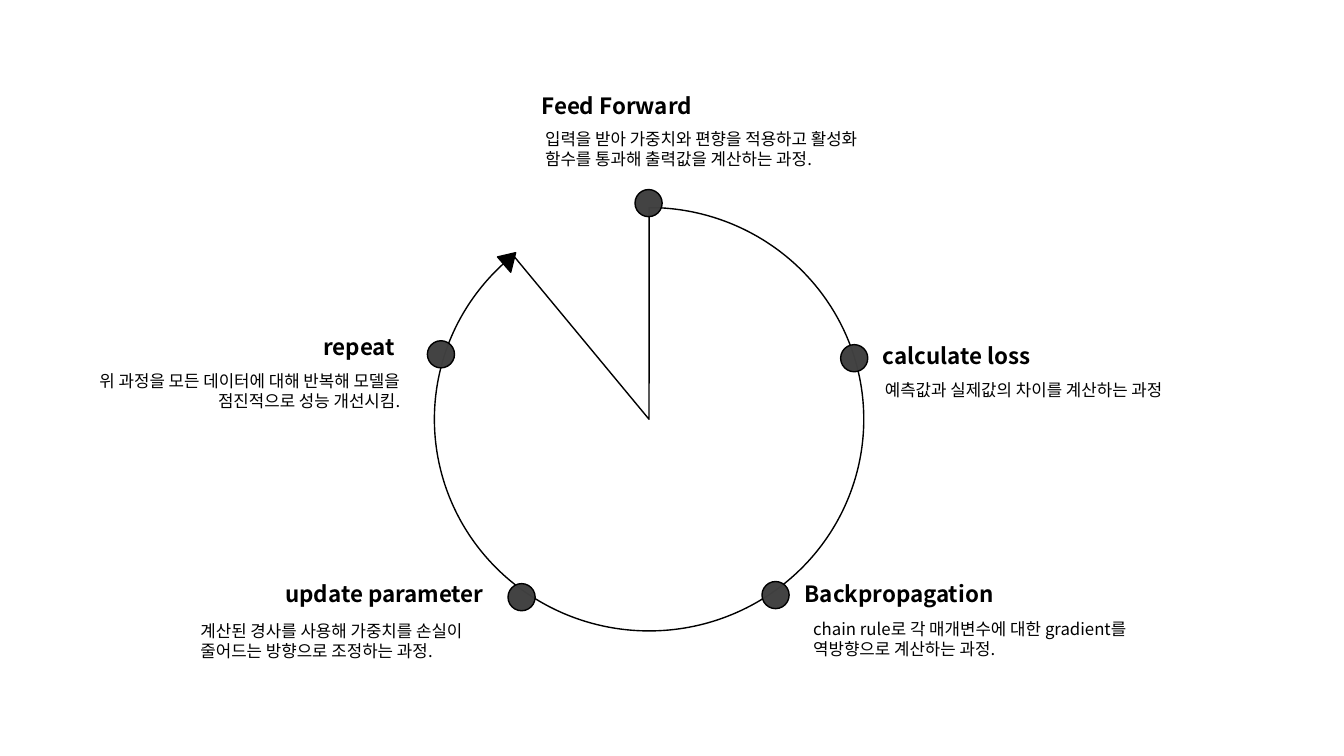
from dataclasses import dataclass

from pptx import Presentation
from pptx.dml.color import RGBColor
from pptx.enum.shapes import MSO_SHAPE as Shape
from pptx.enum.text import MSO_AUTO_SIZE as AutoSize, PP_ALIGN as Align
from pptx.oxml.ns import qn
from pptx.oxml.xmlchemy import OxmlElement
from pptx.util import Pt

FONT = "Noto Sans CJK KR"
BLACK = "000000"
DOT_GRAY = "404040"
DOT_SIZE = 19.4
RING_BOX = (310.3, 148.3, 306.7, 302.4)


@dataclass
class Step:
    title: str
    body: str
    dot: tuple        # left, top from the ring box
    title_box: tuple  # left, top from the dot, then width, height
    body_box: tuple   # left, top from the dot, then width, height
    body_align: Align = Align.LEFT


STEPS = [
    Step("Feed Forward",
         "입력을 받아 가중치와 편향을 적용하고 활성화 함수를 통과해 출력값을 계산하는 과정.",
         (143.3, -12.9), (-103.7, -72.8, 181.4, 26.6), (-71.3, -46.8, 261.4, 36)),
    Step("calculate loss",
         "예측값과 실제값의 차이를 계산하는 과정",
         (290.2, 97.9), (2.1, -5.7, 161.3, 27.4), (24.5, 21.6, 261.4, 21.6)),
    Step("Backpropagation",
         "chain rule로 각 매개변수에 대한 gradient를 역방향으로 계산하는 과정.",
         (234, 267.1), (5.8, -4.3, 184.3, 26.6), (29.5, 23.1, 261.4, 36)),
    Step("update parameter",
         "계산된 경사를 사용해 가중치를 손실이 줄어드는 방향으로 조정하는 과정.",
         (52.6, 268.6), (-190.1, -5.8, 203.8, 26.6), (-226.8, 23, 218.9, 36)),
    Step("repeat",
         "위 과정을 모든 데이터에 대해 반복해 모델을 점진적으로 성능 개선시킴.",
         (-5, 95.1), (-95.1, -8.7, 92.9, 26.6), (-242.7, 18, 230.4, 36), Align.RIGHT),
]


def color(hex_text):
    return RGBColor.from_string(hex_text)


def points(box):
    return [Pt(length) for length in box]


def style_shape(shape, fill=None, alpha=None):
    """Black 1 pt outline, no shadow, and an optional fill."""
    shape.shadow.inherit = False
    shape.line.color.rgb = color(BLACK)
    shape.line.width = Pt(1)
    if fill is None:
        shape.fill.background()
        return
    shape.fill.solid()
    shape.fill.fore_color.rgb = color(fill)
    if alpha is not None:
        opacity = OxmlElement("a:alpha")
        opacity.set("val", str(alpha * 1000))
        shape.element.spPr.find(qn("a:solidFill"))[0].append(opacity)


def add_text(slide, box, text, size=12, bold=False, align=Align.LEFT):
    frame = slide.shapes.add_textbox(*points(box)).text_frame
    frame.word_wrap = True
    frame.auto_size = AutoSize.SHAPE_TO_FIT_TEXT
    para = frame.paragraphs[0]
    para.alignment = align
    span = para.add_run()
    span.text = text
    span.font.size = Pt(size)
    span.font.bold = bold
    span.font.color.rgb = color(BLACK)
    span.font.name = FONT
    east_asian = OxmlElement("a:ea")
    east_asian.set("typeface", FONT)
    span.font.fill  # keeps the fill ahead of the typefaces
    span.font.element.append(east_asian) if hasattr(span.font, "element") else \
        span._r.get_or_add_rPr().append(east_asian)


def add_ring(slide, box):
    """Open pie outline, mirrored, with the arrowhead at its end."""
    ring = slide.shapes.add_shape(Shape.PIE, *points(box))
    ring.adjustments[0] = 185.794
    ring.adjustments[1] = 161.988
    ring.element.spPr.find(qn("a:xfrm")).set("flipH", "1")
    style_shape(ring)


def add_arrowhead(slide, box):
    left, top = box[0] + 44.7, box[1] + 31
    builder = slide.shapes.build_freeform(Pt(left), Pt(top + 5.3))
    corners = [(12.2, 0), (11.2, 14.4)]
    builder.add_line_segments([(Pt(left + x), Pt(top + y)) for x, y in corners])
    arrow = builder.convert_to_shape()
    arrow.rotation = 10.1
    style_shape(arrow, BLACK)


def add_step(slide, box, step):
    """One dot on the ring with its title and explanation."""
    left, top = box[0] + step.dot[0], box[1] + step.dot[1]

    def from_dot(part):
        return left + part[0], top + part[1], part[2], part[3]

    dot = slide.shapes.add_shape(Shape.OVAL, *points((left, top, DOT_SIZE, DOT_SIZE)))
    style_shape(dot, DOT_GRAY, alpha=98)
    add_text(slide, from_dot(step.title_box), step.title,
             size=16, bold=True, align=Align.CENTER)
    add_text(slide, from_dot(step.body_box), step.body, align=step.body_align)


def add_cycle(slide, box):
    add_ring(slide, box)
    for step in STEPS:
        add_step(slide, box, step)
    add_arrowhead(slide, box)


def main():
    deck = Presentation()
    deck.slide_width, deck.slide_height = Pt(960), Pt(540)
    page = deck.slides.add_slide(deck.slide_layouts[6])
    add_cycle(page, RING_BOX)
    deck.save("out.pptx")


if __name__ == "__main__":
    main()
